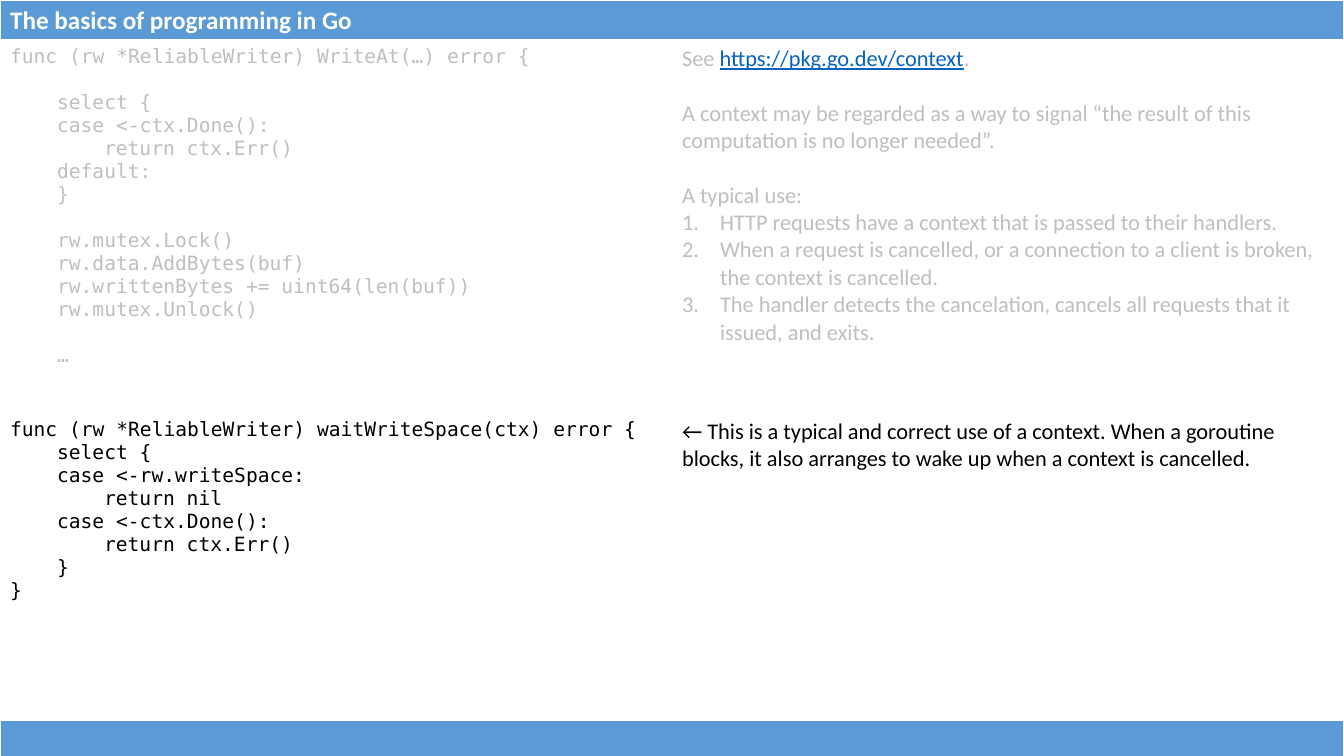
from dataclasses import dataclass

from lxml import etree
from pptx import Presentation
from pptx import util as u
from pptx.dml.color import RGBColor
from pptx.oxml import ns

EMU_PER_PX = 914400 / 100.8
WIDTH, HEIGHT = 1344, 756
BAR_HEIGHT = 40
CODE_INDENT = 47
LIST_INDENT = 38

BLUE = RGBColor(0x5B, 0x9B, 0xD5)
LINK = RGBColor(0x05, 0x63, 0xC1)
GREY = RGBColor(0xBF, 0xBF, 0xBF)
BLACK = RGBColor(0x00, 0x00, 0x00)
WHITE = RGBColor(0xFF, 0xFF, 0xFF)


@dataclass(frozen=True)
class Style:
    font: str
    size: int
    color: RGBColor
    gap: float = 0  # height of one line, in points
    bold: bool = False


@dataclass(frozen=True)
class Span:
    text: str
    link: bool = False


@dataclass(frozen=True)
class Line:
    spans: tuple[Span, ...]
    indent: int = 0
    gap: bool = False
    numbered: bool = False


TITLE = Style("Calibri", 18, WHITE, bold=True)
OLD_CODE = Style("DejaVu Sans Mono", 14, GREY, 16.4)
NEW_CODE = Style("DejaVu Sans Mono", 14, BLACK, 16.4)
OLD_NOTE = Style("Calibri", 16, GREY, 19.5)
NEW_NOTE = Style("Calibri", 16, BLACK, 19.5)


def px(length: int) -> int:
    return round(length * EMU_PER_PX)


def code(level: int, text: str, gap: bool = False) -> Line:
    return Line((Span(text),), indent=level * CODE_INDENT, gap=gap)


def prose(text: str, gap: bool = False) -> Line:
    return Line((Span(text),), gap=gap)


def step(text: str) -> Line:
    return Line((Span(text),), indent=LIST_INDENT, numbered=True)


WRITE_AT = [
    code(0, "func (rw *ReliableWriter) WriteAt(…) error {"),
    code(1, "select {", gap=True),
    code(1, "case <-ctx.Done():"),
    code(2, "return ctx.Err()"),
    code(1, "default:"),
    code(1, "}"),
    code(1, "rw.mutex.Lock()", gap=True),
    code(1, "rw.data.AddBytes(buf)"),
    code(1, "rw.writtenBytes += uint64(len(buf))"),
    code(1, "rw.mutex.Unlock()"),
    code(1, "…", gap=True),
]
CONTEXT_NOTES = [
    Line((Span("See "), Span("https://pkg.go.dev/context", link=True), Span("."))),
    prose("A context may be regarded as a way to signal “the result of this "
          "computation is no longer needed”.", gap=True),
    prose("A typical use:", gap=True),
    step("HTTP requests have a context that is passed to their handlers."),
    step("When a request is cancelled, or a connection to a client is broken, "
         "the context is cancelled."),
    step("The handler detects the cancelation, cancels all requests that it "
         "issued, and exits."),
]
WAIT_WRITE_SPACE = [
    code(0, "func (rw *ReliableWriter) waitWriteSpace(ctx) error {"),
    code(1, "select {"),
    code(1, "case <-rw.writeSpace:"),
    code(2, "return nil"),
    code(1, "case <-ctx.Done():"),
    code(2, "return ctx.Err()"),
    code(1, "}"),
    code(0, "}"),
]
WAIT_NOTES = [
    prose("← This is a typical and correct use of a context. When a goroutine "
          "blocks, it also arranges to wake up when a context is cancelled."),
]


def add_grid(page, top: int, columns: list[int], rows: list[int]):
    """Add a plain table with no banding and no cell fill."""
    frame = page.shapes.add_table(
        len(rows), len(columns), 0, px(top), px(sum(columns)), px(sum(rows)))
    grid = frame.table
    grid.first_row = grid.horz_banding = False
    for column, width in zip(grid.columns, columns):
        column.width = px(width)
    for row, height in zip(grid.rows, rows):
        row.height = px(height)
    for cell in grid.iter_cells():
        cell.fill.background()
    return grid


def add_border(cell, index: int, side: str, points: int) -> None:
    line = etree.Element(ns.qn(f"a:ln{side}"), w=str(u.Pt(points)))
    fill = etree.SubElement(line, ns.qn("a:solidFill"))
    etree.SubElement(fill, ns.qn("a:srgbClr"), val=str(WHITE))
    cell._tc.get_or_add_tcPr().insert(index, line)


def add_bar(page, top: int):
    """Add a full-width blue bar and return its cell."""
    cell = add_grid(page, top, [WIDTH], [BAR_HEIGHT]).cell(0, 0)
    cell.fill.solid()
    cell.fill.fore_color.rgb = BLUE
    for index, (side, points) in enumerate(
            [("L", 1), ("R", 1), ("T", 1), ("B", 3)]):
        add_border(cell, index, side, points)
    return cell


def write(cell, lines: list[Line], style: Style) -> None:
    box = cell.text_frame
    for number, line in enumerate(lines):
        para = box.add_paragraph() if number else box.paragraphs[0]
        if line.gap:
            para.space_before = u.Pt(style.gap)
        props = para._p.get_or_add_pPr()
        props.set("marL", str(px(line.indent)))
        if line.numbered:
            props.set("indent", str(-px(line.indent)))
            etree.SubElement(props, ns.qn("a:buAutoNum"), type="arabicPeriod")
        for span in line.spans:
            run = para.add_run()
            run.text = span.text
            run.font.name = style.font
            run.font.size = u.Pt(style.size)
            run.font.bold = style.bold
            run.font.underline = span.link
            run.font.color.rgb = LINK if span.link else style.color


def main() -> None:
    deck = Presentation()
    deck.slide_width, deck.slide_height = px(WIDTH), px(HEIGHT)
    page = deck.slides.add_slide(deck.slide_layouts[6])

    # Title and footer bars
    write(add_bar(page, 0), [prose("The basics of programming in Go")], TITLE)
    add_bar(page, 720)

    # Code on the left, remarks on the right
    body = add_grid(page, BAR_HEIGHT, [WIDTH // 2] * 2, [332, 41, 206])
    write(body.cell(0, 0), WRITE_AT, OLD_CODE)
    write(body.cell(0, 1), CONTEXT_NOTES, OLD_NOTE)
    write(body.cell(2, 0), WAIT_WRITE_SPACE, NEW_CODE)
    write(body.cell(2, 1), WAIT_NOTES, NEW_NOTE)

    deck.save("out.pptx")


if __name__ == "__main__":
    main()
